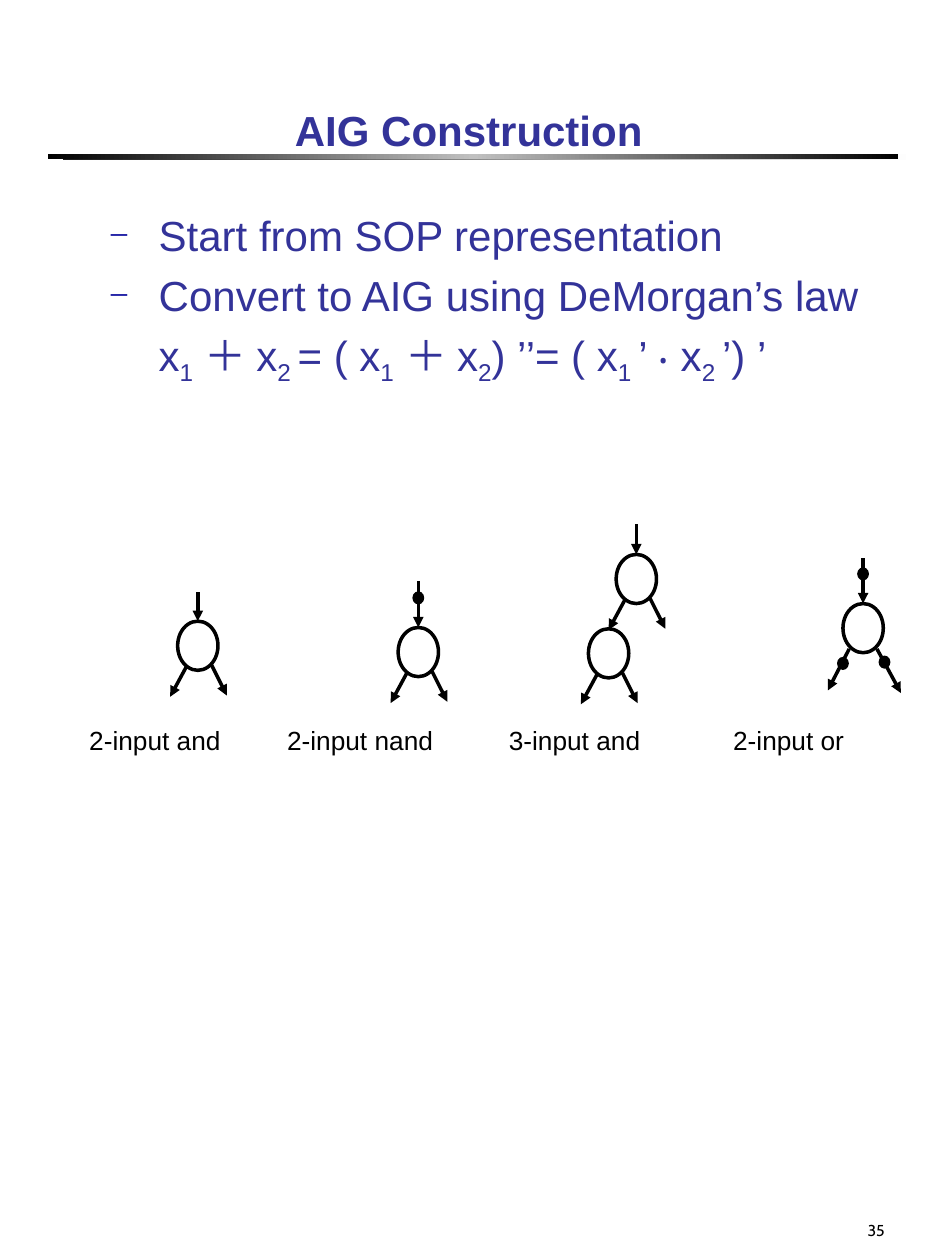
from dataclasses import dataclass

from lxml import etree
from pptx import Presentation
from pptx import util as u
from pptx.dml.color import RGBColor
from pptx.enum import shapes, text
from pptx.oxml.ns import qn

# Grid of square cells: 75 columns by 100 rows
COLUMNS, ROWS = 75, 100
WIDTH, HEIGHT = u.Inches(7.5), u.Inches(10)
NODE_WIDTH, NODE_HEIGHT = 3.2, 3.9
DOT_WIDTH, DOT_HEIGHT = 0.8, 0.9
# Outgoing edges as (start, end) offsets from the node's corner
SHORT_LEGS = [((0.7, 3.6), (-0.6, 6)), ((2.7, 3.5), (3.9, 5.9))]
LONG_LEGS = [((0.5, 3.6), (-1.2, 6.9)), ((2.7, 3.6), (4.6, 7.1))]


@dataclass(frozen=True)
class Theme:
    ink: RGBColor = RGBColor(0x33, 0x33, 0x99)
    black: RGBColor = RGBColor(0, 0, 0)
    bullet: str = "000099"
    font: str = "Arial"
    number_font: str = "Cabin"
    heading: int = 24
    label: int = 15
    number: int = 9
    line: int = 2


THEME = Theme()


def x(columns):
    return round(WIDTH * columns / COLUMNS)


def y(rows):
    return round(HEIGHT * rows / ROWS)


def place(shape, left, top, width, height):
    shape.left, shape.top = x(left), y(top)
    shape.width, shape.height = x(width), y(height)


def set_font(para, size, color, name=THEME.font, bold=False):
    font = para.font
    font.size, font.name, font.bold = u.Pt(size), name, bold
    font.color.rgb = color


def add_bar(slide, box, colors):
    """A horizontal rule with evenly spaced gradient stops."""
    left, top, width, height = box
    bar = slide.shapes.add_shape(shapes.MSO_SHAPE.RECTANGLE,
                                 x(left), y(top), x(width), y(height))
    bar.shadow.inherit = False
    bar.line.fill.background()
    bar.fill.gradient()
    bar.fill.gradient_angle = 0
    stops = bar.fill._fill._gradFill.find(qn("a:gsLst"))
    for stop in list(stops):
        stops.remove(stop)
    for index, color in enumerate(colors):
        position = round(100000 * index / (len(colors) - 1))
        stop = etree.SubElement(stops, qn("a:gs"), pos=str(position))
        etree.SubElement(stop, qn("a:srgbClr"), val=color)


def fill_title(slide, wording):
    title = slide.shapes.title
    place(title, 4.4, 2.2, 65.6, 10.6)
    frame = title.text_frame
    frame.text = wording
    frame.auto_size = text.MSO_AUTO_SIZE.NONE
    frame.vertical_anchor = text.MSO_ANCHOR.BOTTOM
    frame.paragraphs[0].alignment = text.PP_ALIGN.CENTER
    set_font(frame.paragraphs[0], THEME.heading, THEME.ink, bold=True)


def set_bullet(para, shown):
    props = para._p.get_or_add_pPr()
    props.set("marL", str(u.Inches(0.75)))
    props.set("indent", str(u.Inches(-0.38 if shown else 0)))
    if not shown:
        etree.SubElement(props, qn("a:buNone"))
        return
    color = etree.SubElement(props, qn("a:buClr"))
    etree.SubElement(color, qn("a:srgbClr"), val=THEME.bullet)
    etree.SubElement(props, qn("a:buSzPct"), val="55000")
    etree.SubElement(props, qn("a:buFont"), typeface=THEME.font)
    etree.SubElement(props, qn("a:buChar"), char="─")


def fill_body(slide, lines):
    """Lines are (wording, bulleted); underscores enclose subscripts."""
    body = slide.placeholders[1]
    place(body, 4.1, 16.1, 68.6, 16.4)
    frame = body.text_frame
    frame.auto_size = text.MSO_AUTO_SIZE.NONE
    for index, (wording, bulleted) in enumerate(lines):
        para = frame.add_paragraph() if index else frame.paragraphs[0]
        para.level = 1
        set_bullet(para, bulleted)
        para.space_before = u.Pt(5.5 if index else 0)
        set_font(para, THEME.heading, THEME.ink)
        for part, piece in enumerate(wording.split("_")):
            span = para.add_run()
            span.text = piece
            if part % 2:
                span._r.get_or_add_rPr().set("baseline", "-25000")


def add_text(slide, box, wording, size, name=THEME.font, wrap=False,
             align=text.PP_ALIGN.LEFT, anchor=text.MSO_ANCHOR.TOP):
    left, top, width, height = box
    frame = slide.shapes.add_textbox(x(left), y(top), x(width), y(height)).text_frame
    frame.word_wrap, frame.vertical_anchor = wrap, anchor
    para = frame.paragraphs[0]
    para.text, para.alignment = wording, align
    set_font(para, size, THEME.black, name)


def add_oval(slide, left, top, width, height, line, filled=False):
    oval = slide.shapes.add_shape(shapes.MSO_SHAPE.OVAL,
                                  x(left), y(top), x(width), y(height))
    oval.shadow.inherit = False
    oval.line.color.rgb, oval.line.width = THEME.black, u.Pt(line)
    if filled:
        oval.fill.solid()
        oval.fill.fore_color.rgb = THEME.black
    else:
        oval.fill.background()
    return oval


def add_arrow(slide, start, end):
    arrow = slide.shapes.add_connector(shapes.MSO_CONNECTOR.STRAIGHT,
                                       x(start[0]), y(start[1]), x(end[0]), y(end[1]))
    arrow.line.color.rgb, arrow.line.width = THEME.black, u.Pt(THEME.line)
    etree.SubElement(arrow.line._get_or_add_ln(), qn("a:tailEnd"), type="triangle")
    etree.SubElement(arrow._element.spPr, qn("a:effectLst"))
    return arrow


def add_gate(slide, left, top, stem=0, legs=SHORT_LEGS, dots=()):
    """A node with its input stem, two outgoing edges and inverter dots."""
    node = add_oval(slide, left, top, NODE_WIDTH, NODE_HEIGHT, THEME.line)
    for start, end in legs:
        add_arrow(slide, (left + start[0], top + start[1]),
                  (left + end[0], top + end[1]))
    if stem:
        middle = left + NODE_WIDTH / 2
        add_arrow(slide, (middle, top - stem), (middle, top)).end_connect(node, 0)
    for across, down in dots:
        add_oval(slide, left + across, top + down, DOT_WIDTH, DOT_HEIGHT, 1, True)


def main():
    deck = Presentation()
    deck.slide_width, deck.slide_height = WIDTH, HEIGHT
    slide = deck.slides.add_slide(deck.slide_layouts[1])

    # Heading and rule
    add_bar(slide, (5, 12.2, 67.5, 0.5), ["1C1C1C", "FFFFFF"])
    add_bar(slide, (3.8, 12.2, 67.5, 0.4), ["000000", "C0C0C0", "000000"])
    fill_title(slide, "AIG Construction")

    # Construction steps
    fill_body(slide, [
        ("Start from SOP representation", True),
        ("Convert to AIG using DeMorgan’s law", True),
        ("x_1_ ＋ x_2 _= ( x_1_ ＋ x_2_) ’’= ( x_1 _’ ‧ x_2 _’) ’", False),
    ])

    # Gate graphs
    stem_dot = (1.2, -2.8)
    add_gate(slide, 14.1, 49.3, stem=2.3)
    add_gate(slide, 31.6, 49.8, stem=3.7, dots=[stem_dot])
    add_gate(slide, 48.9, 44, stem=2.4)
    add_gate(slide, 46.7, 49.9)
    add_gate(slide, 66.9, 47.9, stem=3.6, legs=LONG_LEGS,
             dots=[stem_dot, (-0.4, 4.3), (2.9, 4.2)])

    # Gate names
    for left, width, name in [(6.1, 16, "2-input and"), (21.8, 17.5, "2-input nand"),
                              (39.4, 16, "3-input and"), (57.2, 13.9, "2-input or")]:
        add_text(slide, (left, 57, width, 5.4), name, THEME.label)

    # Page number
    add_text(slide, (55.6, 92.2, 15.6, 6.7), "35", THEME.number, THEME.number_font,
             True, text.PP_ALIGN.RIGHT, text.MSO_ANCHOR.BOTTOM)
    deck.save("out.pptx")


if __name__ == "__main__":
    main()
